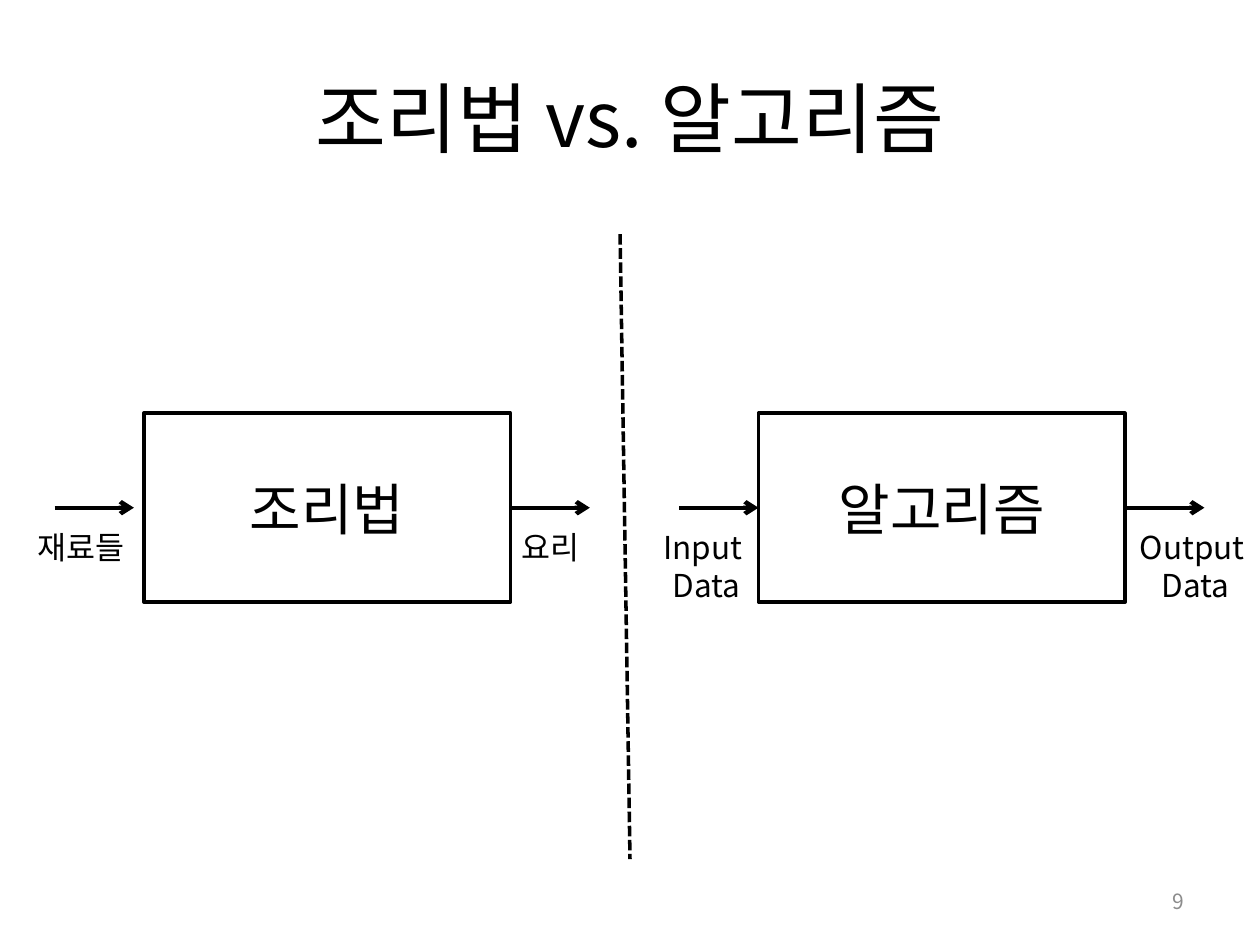
from lxml.etree import SubElement
from pptx import Presentation
from pptx.dml.color import RGBColor
from pptx.enum.dml import MSO_LINE
from pptx.enum.shapes import MSO_CONNECTOR, MSO_SHAPE
from pptx.enum.text import MSO_ANCHOR, MSO_AUTO_SIZE, PP_ALIGN
from pptx.oxml.ns import qn
from pptx.util import Cm, Pt

FONT = "Noto Sans CJK KR"
BLACK, WHITE, GRAY = "000000", "FFFFFF", "8C8C8C"

BOX_TOP, BOX_WIDTH, BOX_HEIGHT = 8.33, 7.39, 3.81
ARROW_LENGTH, LABEL_TOP = 1.6, 10.52

PROCESSES = [
    {
        "name": "조리법", "left": 2.9, "input_gap": 0.2, "align": PP_ALIGN.LEFT,
        "labels": [(["재료들"], 0.51, 2.44), (["요리"], 10.26, 1.8)],
    },
    {
        "name": "알고리즘", "left": 15.29, "input_gap": 0, "align": PP_ALIGN.CENTER,
        "labels": [(["Input ", "Data"], 13.11, 2.26), (["Output ", "Data"], 22.71, 2.79)],
    },
]
MIDDLE = {"word_wrap": True, "vertical_anchor": MSO_ANCHOR.MIDDLE}
LABEL = {"word_wrap": False, "auto_size": MSO_AUTO_SIZE.SHAPE_TO_FIT_TEXT}
CAPTIONS = [
    ("조리법 vs. 알고리즘", (1.27, 0.76, 22.86, 3.18), 44, BLACK, PP_ALIGN.CENTER),
    ("9", (18.21, 17.65, 5.92, 1.02), 12, GRAY, PP_ALIGN.RIGHT),
]


def color(value):
    return RGBColor.from_string(value)


def write(shape, lines, size, ink, align, frame_format):
    frame = shape.text_frame
    for attribute, value in frame_format.items():
        setattr(frame, attribute, value)
    for number, line in enumerate(lines):
        paragraph = frame.add_paragraph() if number else frame.paragraphs[0]
        paragraph.alignment = align
        run = paragraph.add_run()
        run.text = line
        for attribute, value in {"name": FONT, "size": Pt(size)}.items():
            setattr(run.font, attribute, value)
        run.font.color.rgb = color(ink)
        SubElement(run.font._element, qn("a:ea"), typeface=FONT)


def add_text(slide, area, *text):
    write(slide.shapes.add_textbox(*map(Cm, area)), *text)


def add_line(slide, start, end, line_format, arrow=False):
    connector = slide.shapes.add_connector(MSO_CONNECTOR.STRAIGHT, *map(Cm, start + end))
    connector.line.color.rgb = color(BLACK)
    for attribute, value in line_format.items():
        setattr(connector.line, attribute, value)
    if arrow:
        SubElement(connector.line._get_or_add_ln(), qn("a:tailEnd"), type="arrow")
    SubElement(connector._element.spPr, qn("a:effectLst"))
    return connector


def add_process(slide, process):
    left, right = process["left"], process["left"] + BOX_WIDTH
    box = slide.shapes.add_shape(
        MSO_SHAPE.RECTANGLE, *map(Cm, (left, BOX_TOP, BOX_WIDTH, BOX_HEIGHT)))
    box.shadow.inherit = False
    box.fill.solid()
    box.fill.fore_color.rgb = color(WHITE)
    box.line.color.rgb = color(BLACK)
    box.line.width = Pt(2)
    write(box, [process["name"]], 32, BLACK, PP_ALIGN.CENTER, MIDDLE)

    middle = BOX_TOP + BOX_HEIGHT / 2
    arrow_format = {"width": Pt(2.5)}
    tip = left - process["input_gap"]
    input_arrow = add_line(slide, (tip - ARROW_LENGTH, middle), (tip, middle), arrow_format, True)
    if not process["input_gap"]:
        input_arrow.end_connect(box, 1)
    output_arrow = add_line(
        slide, (right, middle), (right + ARROW_LENGTH, middle), arrow_format, True)
    output_arrow.begin_connect(box, 3)

    for lines, label_left, width in process["labels"]:
        area = (label_left, LABEL_TOP, width, 1.02 + 0.78 * (len(lines) - 1))
        add_text(slide, area, lines, 18, BLACK, process["align"], LABEL)


def main():
    """Build the slide comparing a recipe with an algorithm."""
    presentation = Presentation()
    presentation.slide_width, presentation.slide_height = Cm(25.4), Cm(19.05)
    slide = presentation.slides.add_slide(presentation.slide_layouts[6])
    for caption, area, size, ink, align in CAPTIONS:
        add_text(slide, area, [caption], size, ink, align, MIDDLE)
    for process in PROCESSES:
        add_process(slide, process)
    divider_format = {"width": Pt(2), "dash_style": MSO_LINE.SQUARE_DOT}
    add_line(slide, (12.5, 4.72), (12.7, 17.32), divider_format)
    presentation.save("out.pptx")


if __name__ == "__main__":
    main()
